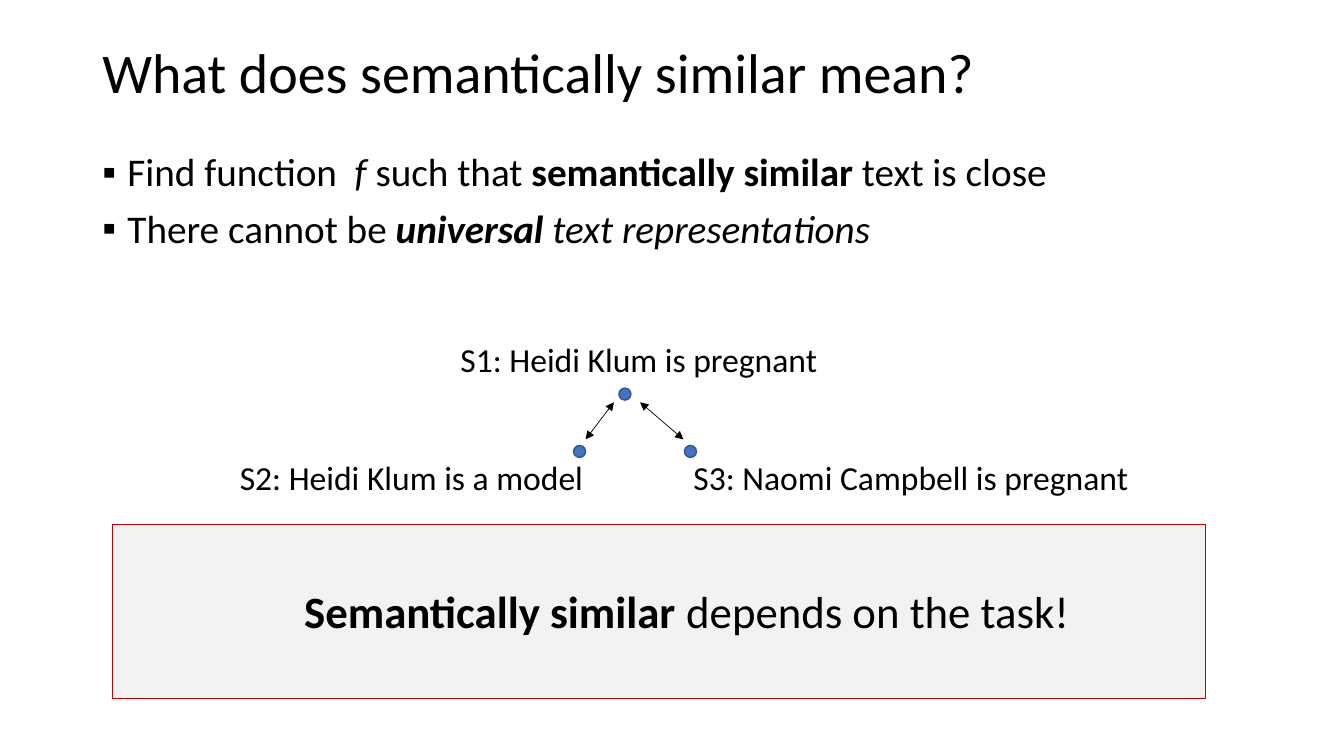
from dataclasses import dataclass

from lxml import etree
from pptx import Presentation
from pptx.dml.color import RGBColor
from pptx.enum.shapes import MSO_CONNECTOR, MSO_SHAPE
from pptx.enum.text import MSO_ANCHOR, MSO_AUTO_SIZE
from pptx.oxml.ns import qn
from pptx.util import Pt

LINE = MSO_CONNECTOR.STRAIGHT
RECT = MSO_SHAPE.RECTANGLE
OVAL = MSO_SHAPE.OVAL
MIDDLE = MSO_ANCHOR.MIDDLE
TOP = MSO_ANCHOR.TOP
GROW = MSO_AUTO_SIZE.SHAPE_TO_FIT_TEXT
FIXED = MSO_AUTO_SIZE.NONE


@dataclass(frozen=True)
class Theme:
    font: str = "Calibri"
    ink: str = "000000"
    dot: str = "4472C4"
    rim: str = "325491"
    panel: str = "F2F2F2"
    edge: str = "C00000"
    title: int = 40
    body: int = 28
    label: int = 24
    claim: int = 32


THEME = Theme()


def color(code):
    return RGBColor.from_string(code)


def add_frame(slide, box, wrap=False, anchor=TOP):
    frame = slide.shapes.add_textbox(*map(Pt, box)).text_frame
    frame.word_wrap = wrap
    frame.auto_size = FIXED if wrap else GROW
    frame.vertical_anchor = anchor
    return frame


def fill_para(para, parts, size):
    for text, style in parts:
        run = para.add_run()
        run.text = text
        font = run.font
        font.name, font.size = THEME.font, Pt(size)
        font.color.rgb = color(THEME.ink)
        font.bold = "b" in style
        font.italic = "i" in style


def add_label(slide, box, parts, size):
    fill_para(add_frame(slide, box).paragraphs[0], parts, size)


def add_title(slide, text):
    frame = add_frame(slide, (66, 1.5, 828, 104.4), True, MIDDLE)
    para = frame.paragraphs[0]
    para.line_spacing = 0.9
    fill_para(para, [(text, "")], THEME.title)


def add_bullets(slide, box, items):
    frame = add_frame(slide, box, True)
    for index, parts in enumerate(items):
        para = frame.add_paragraph() if index else frame.paragraphs[0]
        props = para._p.get_or_add_pPr()
        props.set("marL", str(Pt(18)))
        props.set("indent", str(Pt(-18)))
        etree.SubElement(props, qn("a:buFont")).set("typeface", "Arial")
        etree.SubElement(props, qn("a:buChar")).set("char", "▪")
        para.line_spacing = 0.9
        para.space_before = Pt(10 if index else 0)
        fill_para(para, parts, THEME.body)


def add_block(slide, kind, box, fill, edge, width):
    shape = slide.shapes.add_shape(kind, *map(Pt, box))
    shape.shadow.inherit = False
    shape.fill.solid()
    shape.fill.fore_color.rgb = color(fill)
    shape.line.color.rgb = color(edge)
    shape.line.width = Pt(width)


def add_arrow(slide, start, end):
    link = slide.shapes.add_connector(LINE, *map(Pt, start + end))
    link.line.color.rgb = color(THEME.ink)
    link.line.width = Pt(0.5)
    line = link.line._get_or_add_ln()
    for tag in ("a:headEnd", "a:tailEnd"):
        etree.SubElement(line, qn(tag)).set("type", "triangle")
    etree.SubElement(link._element.spPr, qn("a:effectLst"))


def main():
    deck = Presentation()
    deck.slide_width, deck.slide_height = Pt(960), Pt(540)
    slide = deck.slides.add_slide(deck.slide_layouts[6])

    add_title(slide, "What does semantically similar mean?")
    add_bullets(slide, (66, 105.8, 828, 380), [
        [("Find function  ", ""), ("f ", "i"), ("such that ", ""),
         ("semantically similar ", "b"), ("text is close", "")],
        [("There cannot be ", ""), ("universal", "bi"),
         (" text representations", "i")],
    ])

    for left, top in ((442.1, 277.2), (409.7, 318.2), (488.9, 318.2)):
        add_block(slide, OVAL, (left, top, 8.6, 8.6),
                  THEME.dot, THEME.rim, 1)

    for left, top, width, text in (
        (321.8, 238.3, 271.4, "S1: Heidi Klum is pregnant"),
        (488.2, 322.6, 327.6, "S3: Naomi Campbell is pregnant"),
        (164.2, 322.6, 262.1, "S2: Heidi Klum is a model"),
    ):
        add_label(slide, (left, top, width, 36), [(text, "")], THEME.label)

    for low, high in ((418.3, 438.5), (488.2, 457.2)):
        add_arrow(slide, (low, 313.9), (high, 287.3))

    add_block(slide, RECT, (80.6, 374.4, 780.5, 124.6),
              THEME.panel, THEME.edge, 0.75)
    add_label(slide, (210.2, 413.3, 566.6, 46),
              [("Semantically similar ", "b"), ("depends on the task!", "")],
              THEME.claim)
    deck.save("out.pptx")


if __name__ == "__main__":
    main()
